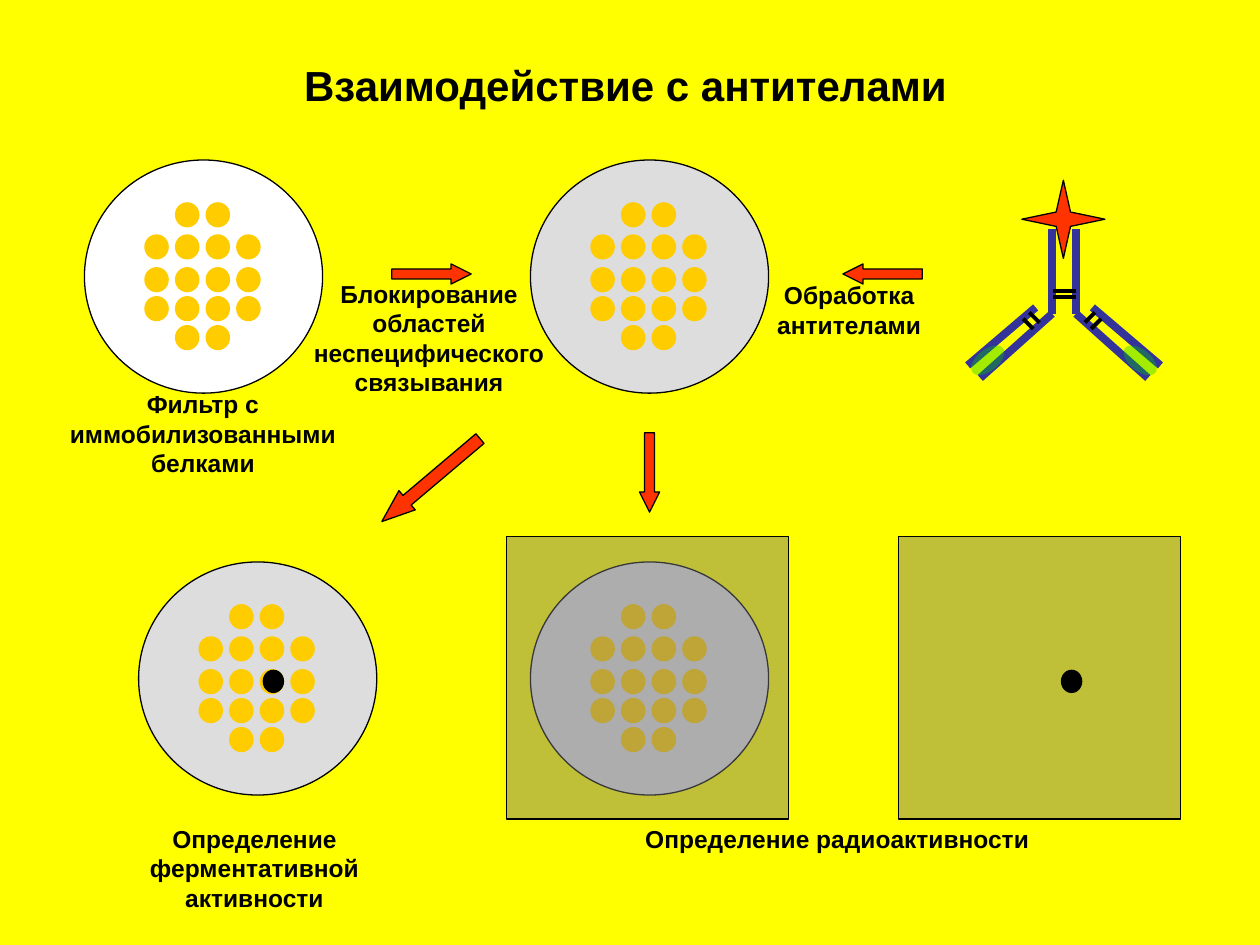
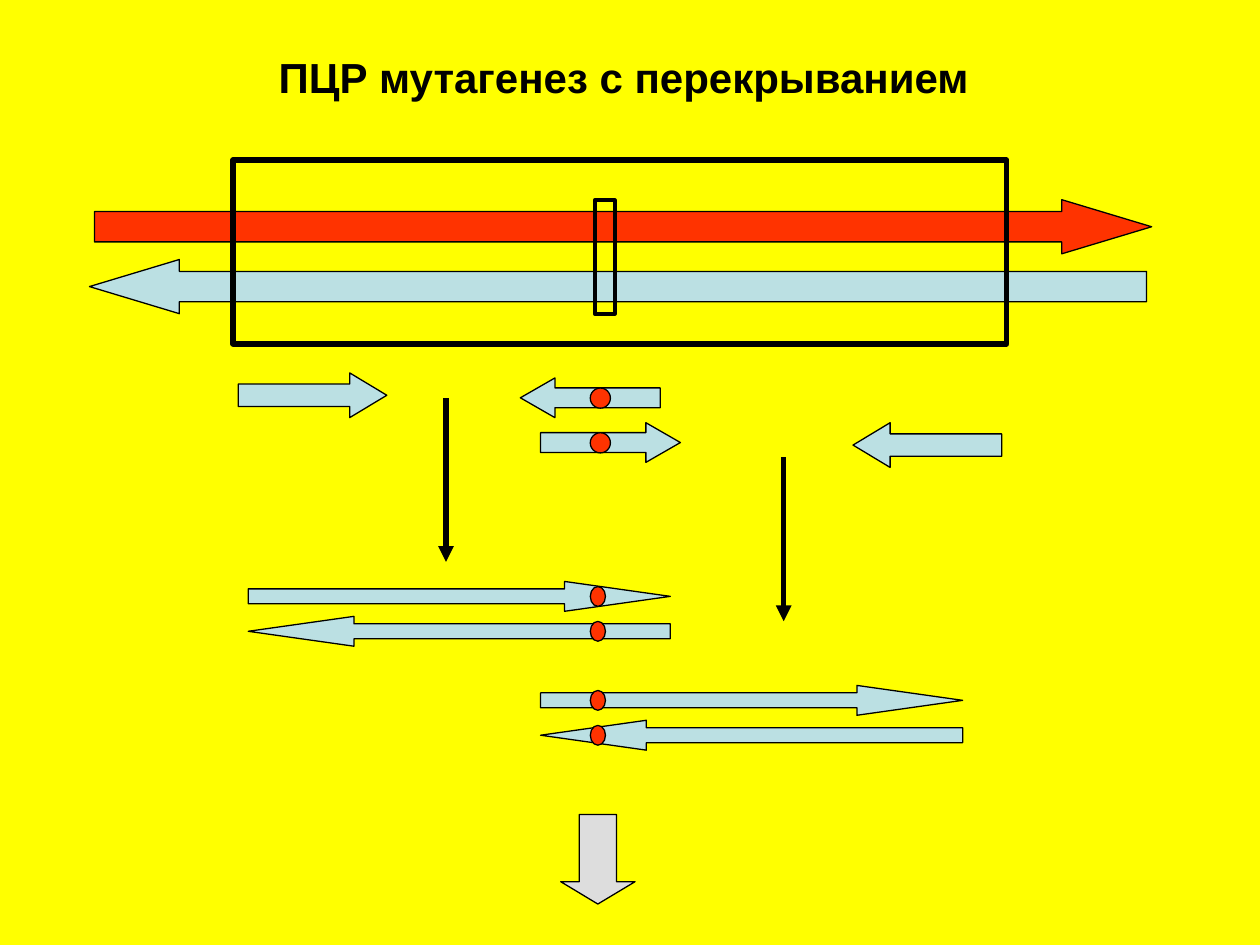
from lxml import etree
from pptx import Presentation
from pptx.dml.color import RGBColor
from pptx.enum.shapes import MSO_CONNECTOR, MSO_SHAPE
from pptx.enum.text import PP_ALIGN
from pptx.oxml.ns import qn
from pptx.util import Inches, Pt

OVAL = MSO_SHAPE.OVAL
RECT = MSO_SHAPE.RECTANGLE
RIGHT = MSO_SHAPE.RIGHT_ARROW
LEFT = MSO_SHAPE.LEFT_ARROW
DOWN = MSO_SHAPE.DOWN_ARROW
LINE = MSO_CONNECTOR.STRAIGHT
CENTER = PP_ALIGN.CENTER

YELLOW = RGBColor(0xFF, 0xFF, 0x00)
WHITE = RGBColor(0xFF, 0xFF, 0xFF)
BLACK = RGBColor(0x00, 0x00, 0x00)
SILVER = RGBColor(0xDD, 0xDD, 0xDD)
GRAY = RGBColor(0x77, 0x77, 0x77)
GOLD = RGBColor(0xFF, 0xCC, 0x00)
RED = RGBColor(0xFF, 0x33, 0x00)
BLUE = RGBColor(0x33, 0x33, 0x99)
GREEN = RGBColor(0x00, 0xCC, 0x00)
PALE = RGBColor(0xBB, 0xE0, 0xE3)

COLS, ROWS = 100, 75
CELL = Inches(0.1)
THIN = 0.75
FONT = {"name": "Arial", "bold": True}


def cells(*sizes):
    return [round(size * CELL) for size in sizes]


class Board:
    def __init__(self):
        self.deck = Presentation()
        self.deck.slide_width, self.deck.slide_height = cells(COLS, ROWS)
        self.slide = None

    def page(self, title, box):
        self.slide = self.deck.slides.add_slide(self.deck.slide_layouts[6])
        fill = self.slide.background.fill
        fill.solid()
        fill.fore_color.rgb = YELLOW
        self.text(title, box, 24, False)

    def text(self, words, box, size=14, wrap=True):
        frame = self.slide.shapes.add_textbox(*cells(*box)).text_frame
        frame.word_wrap = wrap
        para = frame.paragraphs[0]
        para.alignment = CENTER
        run = para.add_run()
        run.text = words
        for key, value in {**FONT, "size": Pt(size)}.items():
            setattr(run.font, key, value)
        run.font.color.rgb = BLACK

    def paint(self, shape, fill, width, alpha):
        shape.shadow.inherit = False
        if fill is None:
            shape.fill.background()
        else:
            shape.fill.solid()
            shape.fill.fore_color.rgb = fill
        if alpha:
            color = shape._element.spPr.find(qn("a:solidFill"))[0]
            etree.SubElement(color, qn("a:alpha"), val=str(alpha * 1000))
        if width:
            shape.line.color.rgb = BLACK
            shape.line.width = Pt(width)
        else:
            shape.line.fill.background()

    def shape(self, kind, box, fill=None, width=THIN, alpha=None, turn=0, adj=()):
        item = self.slide.shapes.add_shape(kind, *cells(*box))
        for spot, value in enumerate(adj):
            item.adjustments[spot] = value
        item.rotation = turn
        self.paint(item, fill, width, alpha)

    def line(self, start, end, color=BLACK, width=3, head=False):
        item = self.slide.shapes.add_connector(LINE, *cells(*start, *end))
        item.line.color.rgb = color
        item.line.width = Pt(width)
        if head:
            etree.SubElement(item.line._get_or_add_ln(), qn("a:tailEnd"), type="triangle")
        etree.SubElement(item._element.spPr, qn("a:effectLst"))

    def star(self, x, y, wide, high, waist):
        points = [(0, -high), (waist, -waist), (wide, 0), (waist, waist),
                  (0, high), (-waist, waist), (-wide, 0), (-waist, -waist)]
        path = [cells(x + dx, y + dy) for dx, dy in points]
        form = self.slide.shapes.build_freeform(*path[0])
        form.add_line_segments(path[1:], close=True)
        self.paint(form.convert_to_shape(), RED, THIN, None)

    def filter(self, x, y, fill):
        self.shape(OVAL, (x, y, 18.9, 18.5), fill)
        for row, top in enumerate((3.35, 5.9, 8.5, 10.8, 13.1)):
            for col in range(1, 3) if row in (0, 4) else range(4):
                self.shape(OVAL, (x + 4.75 + 2.43 * col, y + top, 1.95, 2), GOLD, 0)

    def spot(self, x, y):
        self.shape(OVAL, (x, y, 1.6, 1.75), BLACK)

    def film(self, x, y):
        self.shape(RECT, (x, y, 22.4, 22.4), GRAY, alpha=47)

    def twin(self, start, end, axis, color, width):
        self.line(start, end, color, width)
        self.line((2 * axis - start[0], start[1]), (2 * axis - end[0], end[1]), color, width)

    def label(self):
        axis = 84.45
        for start, end in (((83.5, 18.2), (83.5, 24.9)),
                           ((83.5, 24.9), (77.8, 30)),
                           ((82.2, 24.4), (76.8, 29))):
            self.twin(start, end, axis, BLUE, 4.5)
        for side in (-1, 1):
            self.shape(OVAL, (axis + 6.05 * side - 0.85, 27.05, 1.7, 3.1), GREEN, 0, 36, -51.1 * side)
        self.star(84.4, 17.4, 3.3, 3.1, 0.57)
        for step in range(2):
            y = 23.1 + 0.5 * step
            self.line((83.6, y), (85.4, y), width=2.25)
            x, y = 81.7 - 0.5 * step, 24.8 + 0.5 * step
            self.twin((x, y), (x + 0.8, y + 0.8), 84.3, BLACK, 2.25)


def blot(board):
    board.page("Взаимодействие с антителами", (23.1, 4.2, 53.1, 5))
    for x, y, fill in ((6.7, 12.7, WHITE), (42.1, 12.7, SILVER),
                       (42.1, 44.6, SILVER), (11, 44.6, SILVER)):
        board.filter(x, y, fill)
    board.label()
    board.spot(20.9, 53.2)
    for x in (40.2, 71.3):
        board.film(x, 42.6)
    board.spot(84.25, 53.2)
    for kind, box, turn, head in (
            (RIGHT, (31.1, 20.95, 6.3, 1.6), 0, 1),
            (LEFT, (66.9, 20.95, 6.3, 1.6), 0, 1),
            (RIGHT, (29.1, 37.1, 10.2, 2), 139.8, 1.31),
            (RIGHT, (48.4, 36.7, 6.3, 1.6), 90, 1)):
        board.shape(kind, box, RED, turn=turn, adj=(0.5, head))
    for words, box in (
            ("Фильтр с иммобилизованными белками", (3.5, 30.4, 25.2, 8)),
            ("Блокирование областей неспецифического связывания", (23.6, 21.65, 20.9, 10.4)),
            ("Обработка антителами", (59.1, 21.75, (16.6), 5.7)),
            ("Определение ферментативной активности", (5.4, 64.9, 29.6, 8))):
        board.text(words, box)
    board.text("Определение радиоактивности", (50.2, 64.9, 32.5, 3.4), wrap=False)


def overlap(board):
    board.page("ПЦР мутагенез с перекрыванием", (21.1, 3.6, 56.8, 5))
    for kind, x, y, fill in ((RIGHT, 7.5, 15.85, RED), (LEFT, 7.1, 20.6, PALE)):
        board.shape(kind, (x, y, 83.9, 4.3), fill, adj=(0.56, 1.66))
    board.shape(RECT, (47.2, 15.9, 1.6, 9), width=2.25)
    board.shape(RECT, (18.5, 12.7, 61.4, 14.6), width=3)
    for kind, x, y in ((RIGHT, 18.9, 29.6), (LEFT, 67.7, 33.55)):
        board.shape(kind, (x, y, 11.8, 3.55), PALE, adj=(0.5, 0.83))
    for kind, x, y in ((LEFT, 41.3, 30), (RIGHT, 42.9, 33.55)):
        board.shape(kind, (x, y, 11.1, 3.15), PALE, adj=(0.5, 0.87))
        board.shape(OVAL, (46.85, y + 0.8, 1.6, 1.6), RED)
    for x, y in ((19.7, 46.15), (42.9, 54.4)):
        for step, kind in enumerate((RIGHT, LEFT)):
            top = y + 2.77 * step
            board.shape(kind, (x, top, 33.5, 2.37), PALE, adj=(0.5, 3.54))
            board.shape(OVAL, (46.85, top + 0.4, 1.2, 1.57), RED)
    for x, y in ((35.4, 31.6), (62.2, 36.3)):
        board.line((x, y), (x, y + 13), head=True)
    board.shape(DOWN, (44.5, 64.65, 5.9, 7.1), SILVER, adj=(0.5, 0.3))


def main():
    board = Board()
    blot(board)
    overlap(board)
    board.deck.save("out.pptx")


if __name__ == "__main__":
    main()
